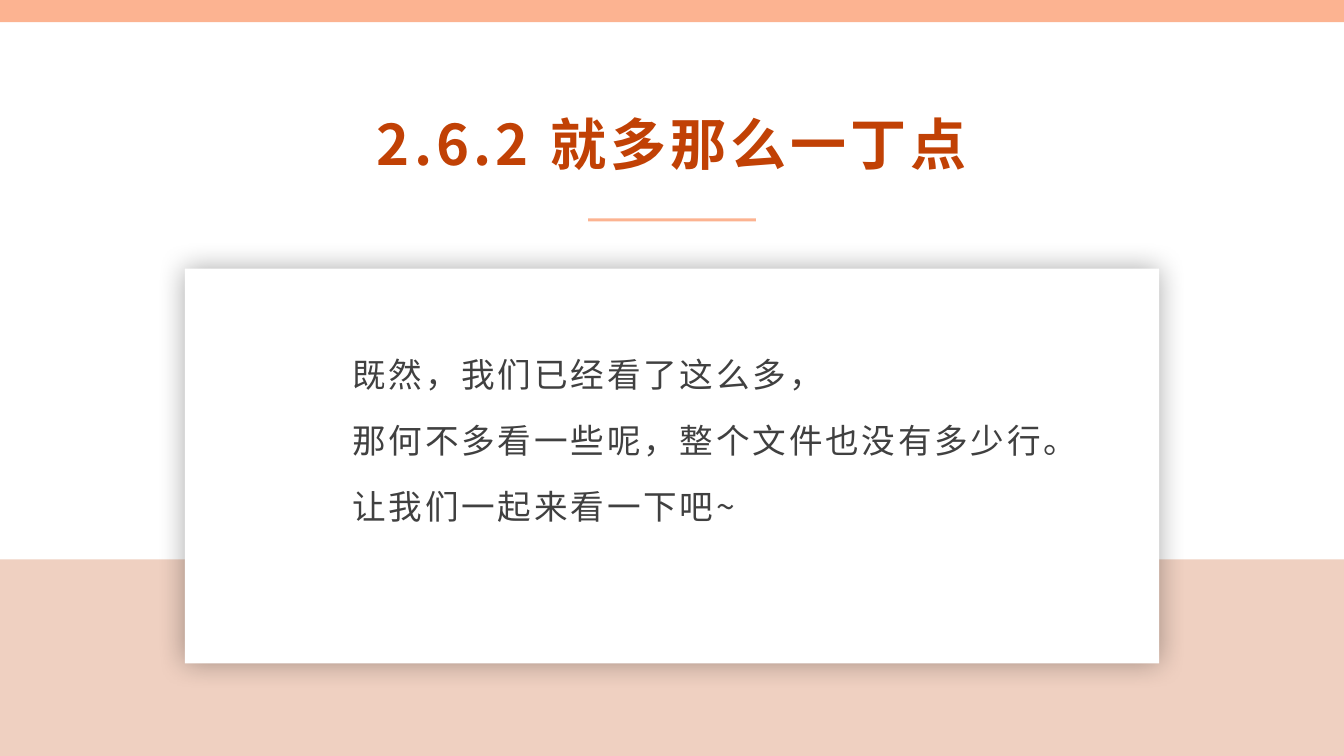
from lxml import etree
from pptx import Presentation
from pptx.dml.color import RGBColor
from pptx.enum.shapes import MSO_SHAPE
from pptx.enum.text import MSO_ANCHOR, MSO_AUTO_SIZE, PP_ALIGN
from pptx.oxml.ns import qn
from pptx.util import Inches, Pt

RECT = MSO_SHAPE.RECTANGLE
MIDDLE = MSO_ANCHOR.MIDDLE
FIXED = MSO_AUTO_SIZE.NONE
LEFT, CENTER = PP_ALIGN.LEFT, PP_ALIGN.CENTER

THEME = {
    "font": "Noto Sans CJK SC",
    "peach": "FCB391", "sand": "EFD0C1", "white": "FFFFFF",
    "rust": "C14105", "gray": "404040", "shade": "000000",
    "head": 40, "body": 24,
}

# Grid of 80 columns by 45 rows
COLS, ROWS = 80, 45
UNIT = Inches(1) / 6

deck = Presentation()
deck.slide_width = int(COLS * UNIT)
deck.slide_height = int(ROWS * UNIT)
slide = deck.slides.add_slide(deck.slide_layouts[5])


def grid(*cells):
    return [int(n * UNIT) for n in cells]


def write(shape, lines, style, tone, align, gap, **form):
    frame = shape.text_frame
    layout = {
        "word_wrap": True, "auto_size": FIXED, "vertical_anchor": MIDDLE,
        "margin_left": Inches(0.07), "margin_right": Inches(0.07),
        "margin_top": Inches(0.03), "margin_bottom": Inches(0.03),
    }
    for key, value in layout.items():
        setattr(frame, key, value)
    frame.text = "\n".join(lines)
    for para in frame.paragraphs:
        for key, value in {"alignment": align, **form}.items():
            setattr(para, key, value)
        font = para.runs[0].font
        look = {"name": THEME["font"], "size": Pt(THEME[style]),
                "bold": style == "head"}
        for key, value in look.items():
            setattr(font, key, value)
        font.color.rgb = RGBColor.from_string(THEME[tone])
        # Letter spacing and East Asian font
        props = font._element
        props.set("spc", str(gap * 100))
        etree.SubElement(props, qn("a:ea"), typeface=THEME["font"])


# Bands, title rule and card
blocks = [
    (0, 0, COLS, 1.32, "peach"),
    (0, 33.3, COLS, 11.7, "sand"),
    (35, 13, 10, 0.18, "peach"),
    (11, 16, 58, 23.5, "white"),
]
for *cells, tone in blocks:
    block = slide.shapes.add_shape(RECT, *grid(*cells))
    block.shadow.inherit = False
    block.fill.solid()
    block.fill.fore_color.rgb = RGBColor.from_string(THEME[tone])
    block.line.fill.background()

# Soft shadow around the card, which is the last block
effects = block._element.spPr.find(qn("a:effectLst"))
soft = etree.SubElement(effects, qn("a:outerShdw"), blurRad=str(Pt(20)),
                        dist="0", dir="0", algn="ctr", rotWithShape="0")
shade = etree.SubElement(soft, qn("a:srgbClr"), val=THEME["shade"])
etree.SubElement(shade, qn("a:alpha"), val="33000")

# Title
title = slide.shapes.title
spot = grid(11, 6, 58, 5)
for key, value in zip(("left", "top", "width", "height"), spot):
    setattr(title, key, value)
write(title, ["2.6.2 就多那么一丁点"], "head", "rust", CENTER, 3)

# Body text
body = slide.shapes.add_textbox(*grid(20.55, 19.33, 42.8, 13))
lines = [
    "既然，我们已经看了这么多，",
    "那何不多看一些呢，整个文件也没有多少行。",
    "让我们一起来看一下吧~",
]
write(body, lines, "body", "gray", LEFT, 2,
      line_spacing=1.3, space_before=Pt(10))

deck.save("out.pptx")
